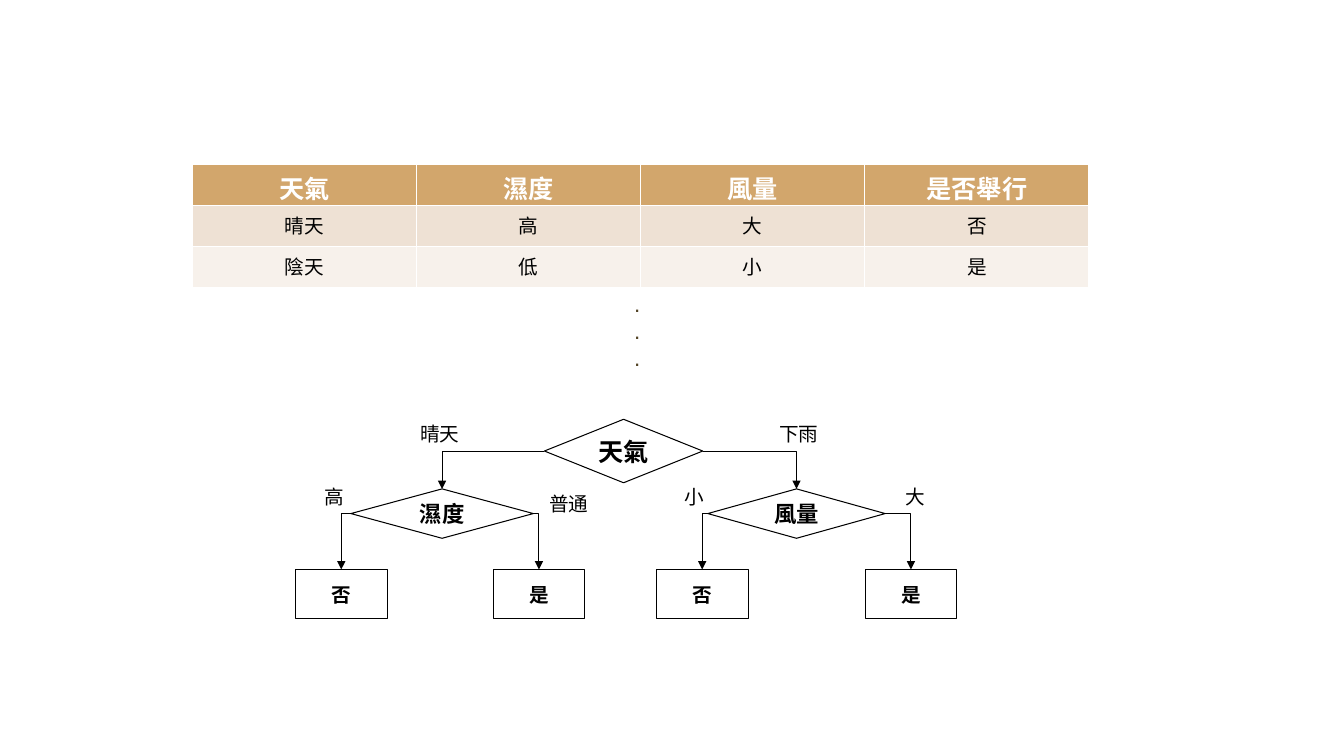
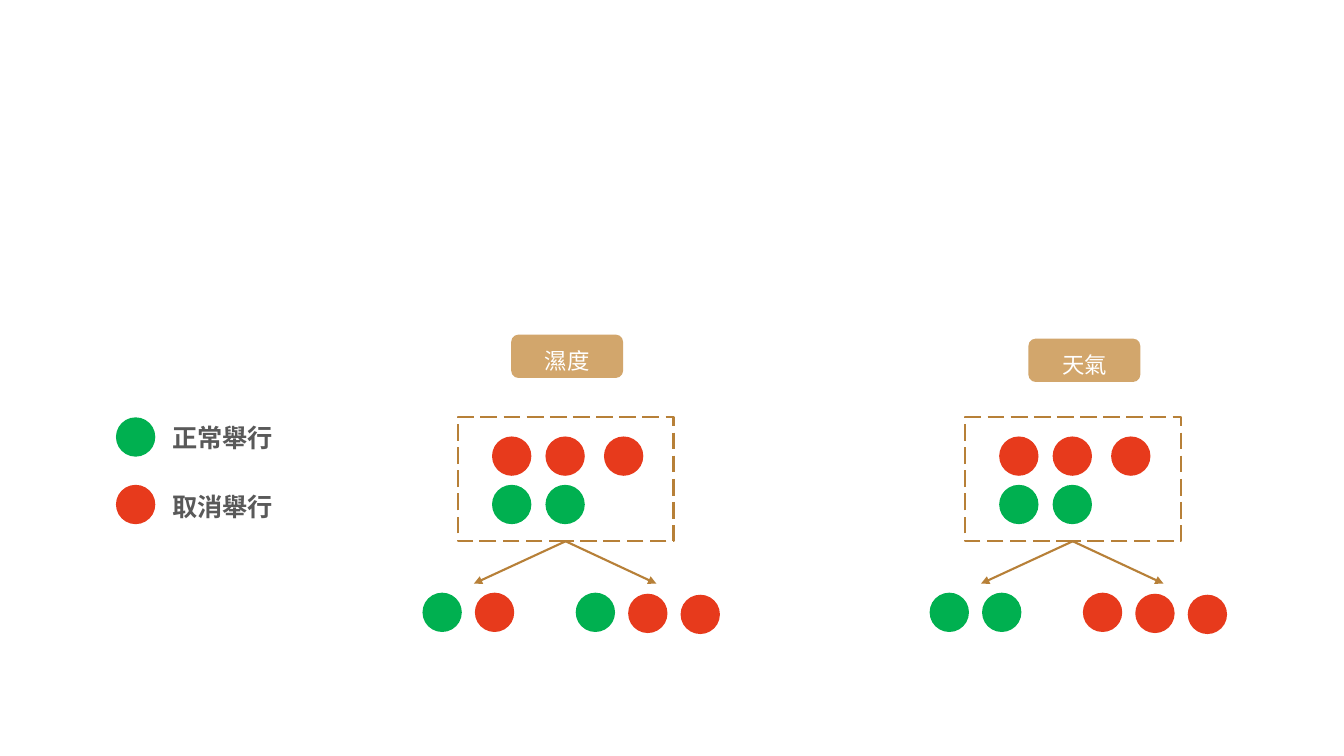
"""Build two slides: a decision tree with its data table, and two candidate splits."""
from lxml import etree
from pptx import Presentation
from pptx.dml.color import RGBColor
from pptx.enum.dml import MSO_LINE
from pptx.enum.shapes import MSO_CONNECTOR, MSO_SHAPE
from pptx.enum.text import MSO_ANCHOR, PP_ALIGN
from pptx.oxml.ns import qn
from pptx.util import Inches, Pt

CENTER = PP_ALIGN.CENTER
MIDDLE = MSO_ANCHOR.MIDDLE
DIAMOND, DECISION = MSO_SHAPE.DIAMOND, MSO_SHAPE.FLOWCHART_DECISION
RECT, ROUND, OVAL = MSO_SHAPE.RECTANGLE, MSO_SHAPE.ROUNDED_RECTANGLE, MSO_SHAPE.OVAL
STRAIGHT, ELBOW = MSO_CONNECTOR.STRAIGHT, MSO_CONNECTOR.ELBOW
DASH = MSO_LINE.LONG_DASH
TOP, LEFT, RIGHT = 0, 1, 3

BLACK, WHITE, GOLD, BROWN = "000000", "FFFFFF", "D2A66C", "B78038"
GREY, OLIVE = "595959", "514123"
BALL_COLORS = {"G": "00B050", "R": "E73A1C"}
TC, SC = "Noto Sans CJK TC", "Noto Sans CJK SC"
BALL = 0.39

TABLE_ROWS = [
    ("天氣", "濕度", "風量", "是否舉行"),
    ("晴天", "高", "大", "否"),
    ("陰天", "低", "小", "是"),
]
ROW_STYLES = [
    (GOLD, {"size": Pt(18), "bold": True, "name": "Arial"}, WHITE),
    ("EEE1D4", {"size": Pt(14), "bold": False, "name": "Arial"}, BLACK),
    ("F7F1EB", {"size": Pt(14), "bold": False, "name": "Arial"}, BLACK),
]
NODES = {
    "weather": (DIAMOND, "天氣", 18, (5.4, 4.16, 1.57, 0.63)),
    "wind": (DECISION, "風量", 16, (7.02, 4.85, 1.76, 0.49)),
    "humidity": (DECISION, "濕度", 16, (3.48, 4.85, 1.81, 0.49)),
}
LEAVES = [("humid_no", "否", 2.93), ("humid_yes", "是", 4.89),
          ("wind_no", "否", 6.51), ("wind_yes", "是", 8.58)]
NODES.update({key: (RECT, text, 14, (x, 5.65, 0.91, 0.49)) for key, text, x in LEAVES})
EDGES = [
    ("weather", LEFT, "humidity"), ("weather", RIGHT, "wind"),
    ("humidity", LEFT, "humid_no"), ("humidity", RIGHT, "humid_yes"),
    ("wind", LEFT, "wind_no"), ("wind", RIGHT, "wind_yes"),
]
EDGE_LABELS = [
    ("晴天", 4.07, 4.09, 0.9), ("下雨", 7.63, 4.09, 0.78), ("高", 3.12, 4.71, 0.55),
    ("小", 6.69, 4.71, 0.55), ("大", 8.88, 4.71, 0.55), ("普通", 5.35, 4.78, 0.75),
]

SPLITS = [
    {"name": "濕度", "left": 4.54, "tag": (5.07, 3.32), "after": "GRGRR"},
    {"name": "天氣", "left": 9.57, "tag": (10.2, 3.36), "after": "GGRRR"},
]
FRAME_TOP, FRAME_W, FRAME_H = 4.14, 2.14, 1.23
BEFORE = [("R", 0.34, 0.19), ("R", 0.87, 0.19), ("R", 1.45, 0.19),
          ("G", 0.34, 0.67), ("G", 0.87, 0.67)]
AFTER_SPOTS = [(-0.35, 1.74), (0.17, 1.74), (1.17, 1.74), (1.69, 1.75), (2.21, 1.76)]
ARROW_ENDS = [0.16, 1.97]
LEGEND = [("G", "正常舉行", 4.14, 4.14), ("R", "取消舉行", 4.81, 4.83)]


def rgb(value):
    return RGBColor.from_string(value)


def inches(values):
    return [Inches(v) for v in values]


def write(tf, lines, fmt, color, align=None, spacing=None, ea=TC):
    for i, line in enumerate(lines):
        p = tf.paragraphs[0] if i == 0 else tf.add_paragraph()
        p.alignment, p.line_spacing = align, spacing
        r = p.add_run()
        r.text = line
        for key, value in fmt.items():
            setattr(r.font, key, value)
        r.font.color.rgb = rgb(color)
        etree.SubElement(r.font._element if hasattr(r.font, "_element") else r._r.get_or_add_rPr(),
                         qn("a:ea"), typeface=ea)


def set_insets(tf, inset=0.1):
    for side in ("left", "top", "right", "bottom"):
        setattr(tf, f"margin_{side}", Inches(inset))


def add_text(s, at, lines, fmt, color, wrap=True):
    tf = s.shapes.add_textbox(*inches(at)).text_frame
    tf.word_wrap = wrap
    write(tf, lines, fmt, color)
    return tf


def add_shape(s, kind, at, fill=None, line=None, width=0.75):
    sp = s.shapes.add_shape(kind, *inches(at))
    sp.shadow.inherit = False
    if fill:
        sp.fill.solid()
        sp.fill.fore_color.rgb = rgb(fill)
    else:
        sp.fill.background()
    if line:
        sp.line.color.rgb = rgb(line)
        sp.line.width = Pt(width)
    else:
        sp.line.fill.background()
    return sp


def add_ball(s, kind, x, y):
    add_shape(s, OVAL, (x, y, BALL, BALL), BALL_COLORS[kind])


def add_arrow(s, kind, ends, color, width):
    c = s.shapes.add_connector(kind, *ends)
    c.line.color.rgb = rgb(color)
    c.line.width = Pt(width)
    etree.SubElement(c.get_or_add_ln(), qn("a:tailEnd"), type="triangle")
    etree.SubElement(c._element.spPr, qn("a:effectLst"))
    return c


def add_edge(s, parent, side, child):
    x = parent.left + (parent.width if side == RIGHT else 0)
    ends = (x, parent.top + parent.height // 2, child.left + child.width // 2, child.top)
    c = add_arrow(s, ELBOW, ends, BLACK, 0.75)
    c._element.spPr.find(qn("a:prstGeom")).set("prst", "bentConnector2")
    c.begin_connect(parent, side)
    c.end_connect(child, TOP)


def add_data_table(s):
    at = inches((1.91, 1.63, 8.89, 1.22))
    table = s.shapes.add_table(len(TABLE_ROWS), len(TABLE_ROWS[0]), *at).table
    for i, (row, (fill, fmt, color)) in enumerate(zip(TABLE_ROWS, ROW_STYLES)):
        for j, text in enumerate(row):
            cell = table.cell(i, j)
            cell.fill.solid()
            cell.fill.fore_color.rgb = rgb(fill)
            write(cell.text_frame, [text], fmt, color, CENTER)


def build_tree(s):
    shapes = {}
    for key, (kind, text, size, at) in NODES.items():
        sp = shapes[key] = add_shape(s, kind, at, WHITE, BLACK)
        set_insets(sp.text_frame)
        sp.text_frame.vertical_anchor = MIDDLE
        write(sp.text_frame, [text], {"size": Pt(size), "bold": True, "name": TC}, BLACK, CENTER)
    for parent, side, child in EDGES:
        add_edge(s, shapes[parent], side, shapes[child])
    for text, x, y, w in EDGE_LABELS:
        fmt = {"size": Pt(14), "name": "Calibri"}
        set_insets(add_text(s, (x, y, w, 0.33), [text], fmt, BLACK))
    add_data_table(s)
    fmt = {"size": Pt(16), "name": "Arial"}
    set_insets(add_text(s, (6.19, 2.78, 0.78, 0.93), ["."] * 3, fmt, OLIVE))


def build_split(s, split):
    left, top = split["left"], FRAME_TOP
    frame = add_shape(s, RECT, (left, top, FRAME_W, FRAME_H), line=BROWN, width=1.5)
    frame.line.dash_style = DASH
    after = [(kind, dx, dy) for kind, (dx, dy) in zip(split["after"], AFTER_SPOTS)]
    for kind, dx, dy in BEFORE + after:
        add_ball(s, kind, left + dx, top + dy)
    for dx in ARROW_ENDS:
        ends = (left + FRAME_W / 2, top + FRAME_H, left + dx, top + 1.65)
        add_arrow(s, STRAIGHT, inches(ends), BROWN, 1.5)
    tag = add_shape(s, ROUND, (*split["tag"], 1.11, 0.43), GOLD)
    tag.text_frame.vertical_anchor = MIDDLE
    write(tag.text_frame, [split["name"]], {"size": Pt(16), "name": SC}, WHITE, CENTER, 1.3, SC)


def build_splits(s):
    for split in SPLITS:
        build_split(s, split)
    for kind, text, ball_y, text_y in LEGEND:
        add_ball(s, kind, 1.15, ball_y)
        fmt = {"size": Pt(18), "bold": True, "name": "Arial"}
        add_text(s, (1.61, text_y, 1.21, 0.4), [text], fmt, GREY, wrap=False)


def main():
    prs = Presentation()
    prs.slide_width, prs.slide_height = inches((13.33, 7.5))
    blank = prs.slide_layouts[6]
    for build in (build_tree, build_splits):
        build(prs.slides.add_slide(blank))
    prs.save("out.pptx")


if __name__ == "__main__":
    main()
